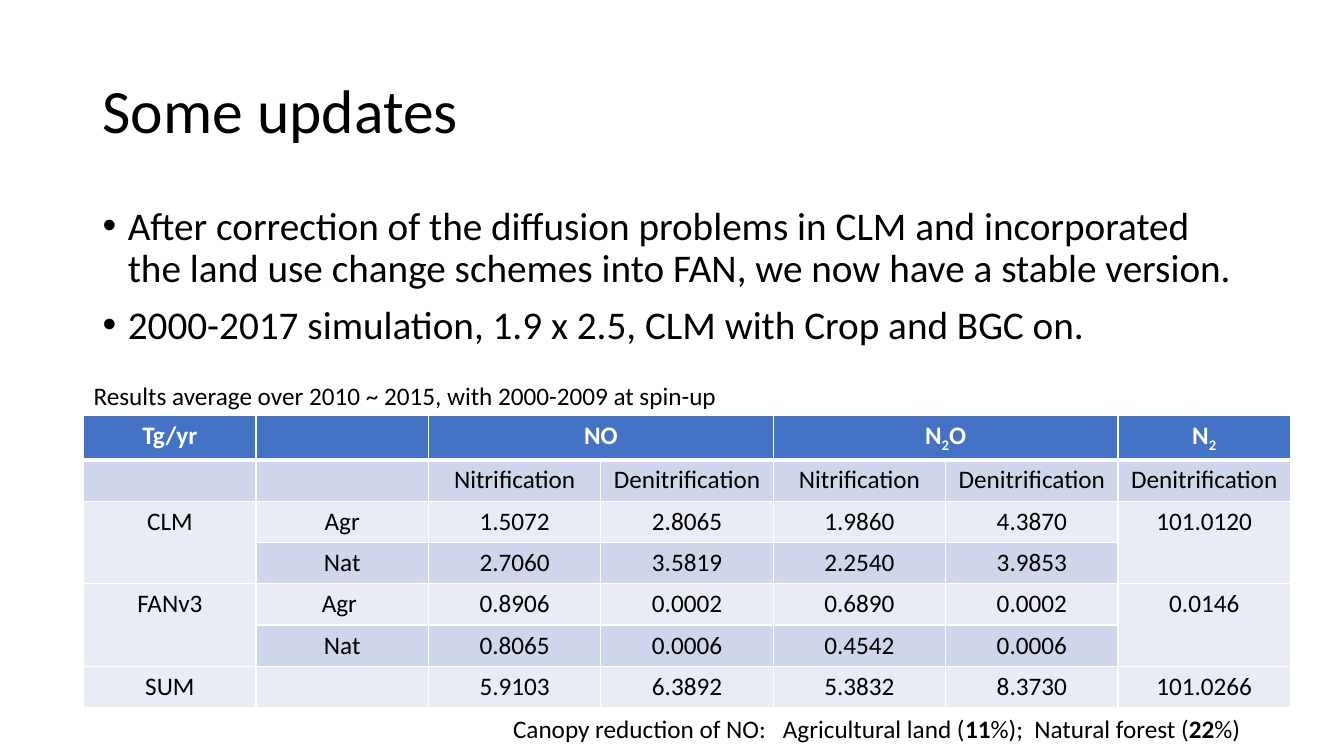
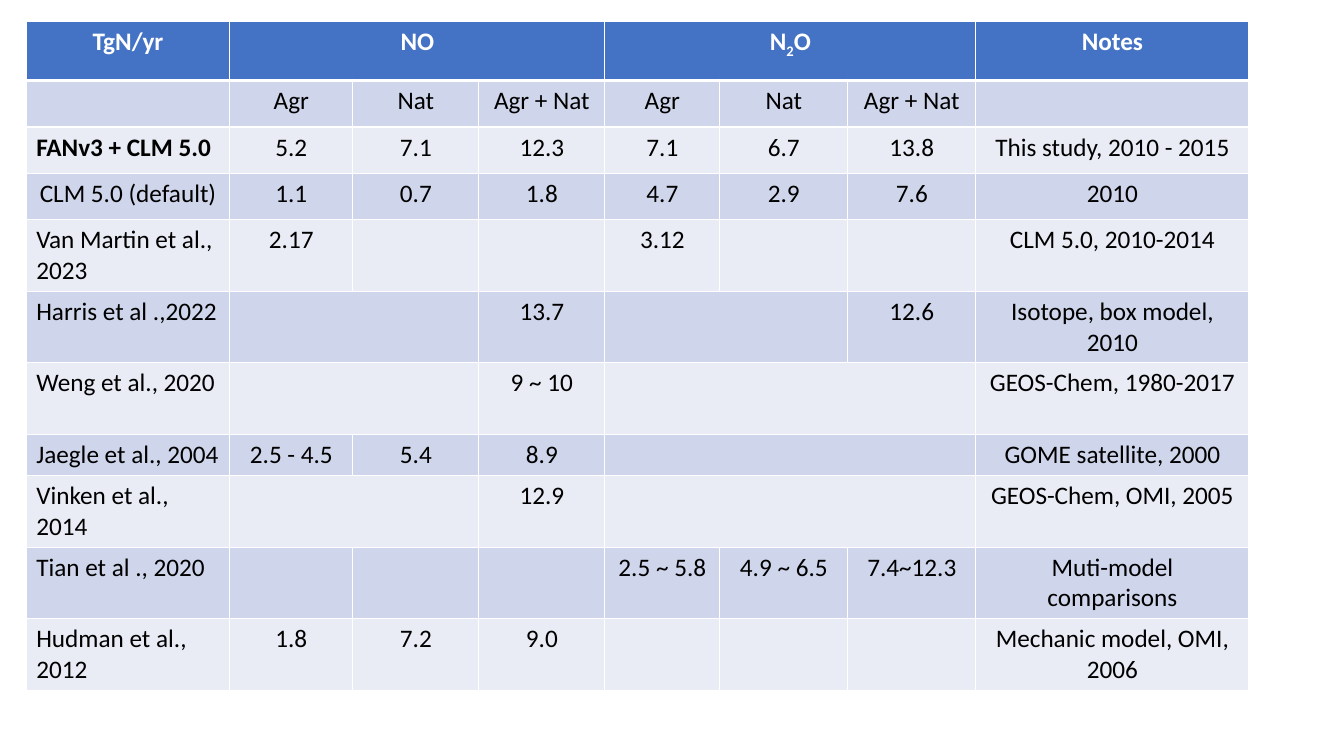
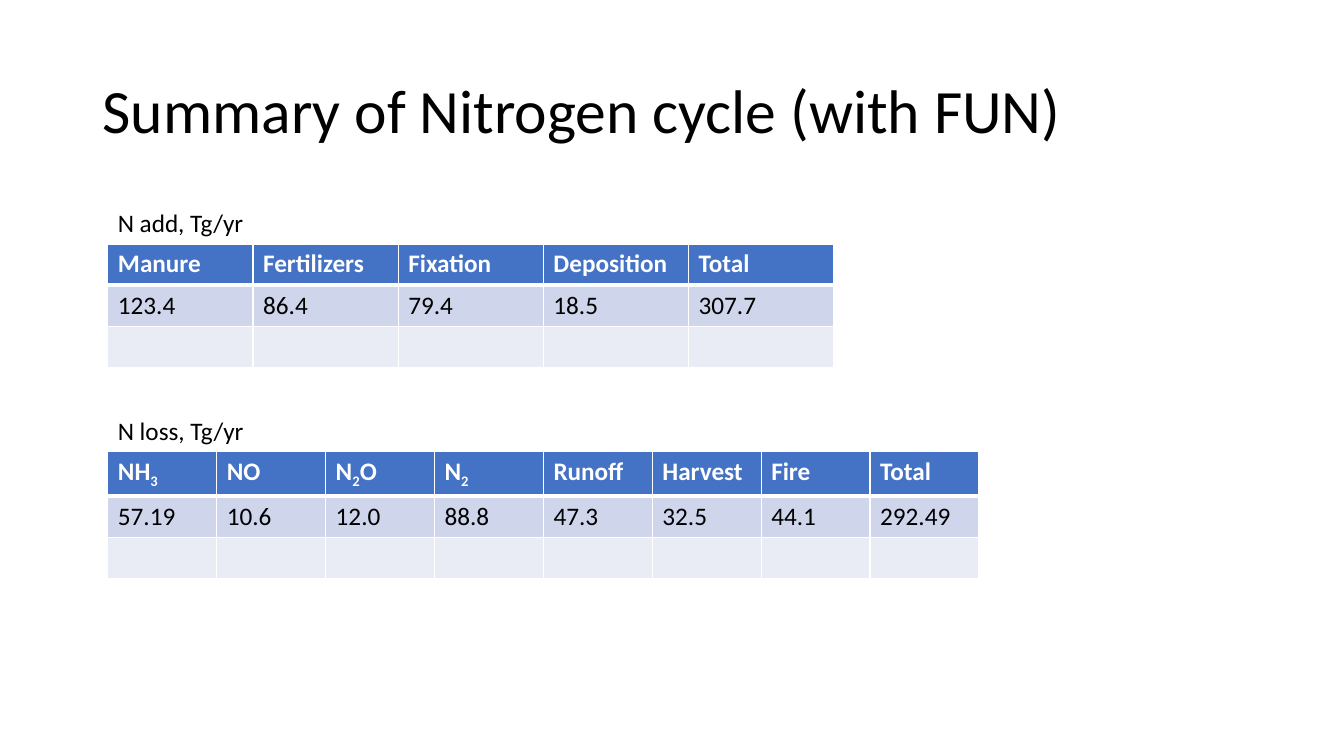
"""Build three slides of nitrogen budget tables."""
from lxml import etree
from pptx import Presentation
from pptx import util as u
from pptx.dml.color import RGBColor
from pptx.enum import text as t
from pptx.oxml import ns

FONT = "Calibri"
BLACK, WHITE, HEADER = "000000", "FFFFFF", "4472C4"
BANDS = ("E9EBF5", "CFD5EA")
BODY_SIZE, BULLET_SIZE, TITLE_SIZE = 18, 28, 44
ROW = 0.41
TITLE_BOX = (0.92, 0.4, 11.5, 1.45)
BULLET_BOX = (0.92, 2, 11.5, 4.76)

# Markup: * toggles bold, _ toggles subscript, a leading | aligns left,
# < joins the cell to its left neighbour, ^ joins it to the one above.
MODEL_ROWS = [
    ["Tg/yr", "", "NO", "<", "N_2_O", "<", "N_2_"],
    ["", "", "Nitrification", "Denitrification", "Nitrification", "Denitrification", "Denitrification"],
    ["CLM", "Agr", "1.5072", "2.8065", "1.9860", "4.3870", "101.0120"],
    ["^", "Nat", "2.7060", "3.5819", "2.2540", "3.9853", "^"],
    ["FANv3", "Agr ", "0.8906", "0.0002", "0.6890", "0.0002", "0.0146"],
    ["^", "Nat", "0.8065", "0.0006", "0.4542", "0.0006", "^"],
    ["SUM", "", "5.9103", "6.3892", "5.3832", "8.3730", "101.0266"],
]
STUDY_ROWS = [
    ["TgN/yr", "NO", "<", "<", "N_2_O", "<", "<", "Notes"],
    ["", "Agr", "Nat", "Agr + Nat", "Agr", "Nat", "Agr + Nat", ""],
    ["|*FANv3 + CLM 5.0*", "5.2", "7.1", "12.3", "7.1", "6.7", "13.8", "This study, 2010 - 2015"],
    ["CLM 5.0 (default)", "1.1", "0.7", "1.8", "4.7", "2.9", "7.6", "2010"],
    ["|Van Martin et al., 2023", "2.17", "", "", "3.12", "", "", "CLM 5.0, 2010-2014"],
    ["|Harris et al .,2022", "", "<", "13.7", "", "<", "12.6", "Isotope, box model, 2010"],
    ["|Weng et al., 2020", "", "<", "9 ~ 10", "", "<", "<", "GEOS-Chem, 1980-2017"],
    ["|Jaegle et al., 2004", "2.5 - 4.5", "5.4", "8.9", "", "<", "<", "GOME satellite, 2000"],
    ["|Vinken et al., 2014", "", "<", "12.9", "", "<", "<", "GEOS-Chem, OMI, 2005"],
    ["|Tian et al ., 2020", "", "", "", "2.5 ~ 5.8", "4.9 ~ 6.5", "7.4~12.3", "Muti-model comparisons"],
    ["|Hudman et al., 2012", "1.8", "7.2", "9.0", "", "", "", "Mechanic model, OMI, 2006"],
]
STUDY_COLUMNS = [2.02, 1.22, 1.25, 1.25, 1.14, 1.27, 1.27, 2.71]
STUDY_HEIGHTS = [0.59] + [0.46] * 3 + [0.71] * 3 + [ROW] + [0.71] * 3
CYCLE_TABLES = [
    ("N add, Tg/yr", 2.01, 1.44, [
        ["|Manure", "|Fertilizers", "|Fixation", "|Deposition", "|Total"],
        ["|123.4", "|86.4", "|79.4", "|18.5", "|307.7"],
        [""] * 5]),
    ("N loss, Tg/yr", 4.07, 1.08, [
        ["|NH_3_", "|NO", "|N_2_O", "|N_2_", "|Runoff", "|Harvest", "|Fire", "|Total"],
        ["|57.19", "|10.6", "|12.0", "|88.8", "|47.3", "|32.5", "|44.1", "|292.49"],
        [""] * 8]),
]
BULLETS = [
    "After correction of the diffusion problems in CLM and incorporated the land use change "
    "schemes into FAN, we now have a stable version.",
    "2000-2017 simulation, 1.9 x 2.5, CLM with Crop and BGC on.",
]
CANOPY = "Canopy reduction of NO:   Agricultural land (*11*%);  Natural forest (*22*%)"


def color(value):
    return RGBColor.from_string(value)


def add_runs(paragraph, marked, size=BODY_SIZE, ink=BLACK, bold=False):
    for i, piece in enumerate(marked.split("*")):
        for j, part in enumerate(piece.split("_")):
            if not part:
                continue
            run = paragraph.add_run()
            run.text = part
            run.font.name, run.font.size = FONT, u.Pt(size)
            run.font.bold = bold or i % 2 == 1
            run.font.color.rgb = color(ink)
            if j % 2:
                run.font._element.set("baseline", "-25000")


def add_text(slide, box, lines, size=BODY_SIZE, wrap=True, bullets=False, spacing=None,
             anchor=t.MSO_ANCHOR.TOP):
    frame = slide.shapes.add_textbox(*map(u.Inches, box)).text_frame
    frame.word_wrap, frame.vertical_anchor = wrap, anchor
    for index, line in enumerate(lines):
        paragraph = frame.add_paragraph() if index else frame.paragraphs[0]
        if spacing:
            paragraph.line_spacing = spacing
        if index:
            paragraph.space_before = u.Pt(10)
        if bullets:
            properties = paragraph._p.get_or_add_pPr()
            properties.set("marL", str(u.Inches(0.25)))
            properties.set("indent", str(-u.Inches(0.25)))
            etree.SubElement(properties, ns.qn("a:buFont")).set("typeface", "Arial")
            etree.SubElement(properties, ns.qn("a:buChar")).set("char", "•")
        add_runs(paragraph, line, size)


def add_title(slide, title):
    add_text(slide, TITLE_BOX, [title], TITLE_SIZE, spacing=0.9, anchor=t.MSO_ANCHOR.MIDDLE)


def style_cell(cell, row):
    properties = cell._tc.get_or_add_tcPr()
    thick = {0: "B", 1: "T"}.get(row)
    for side in "LRTB":
        width = u.Pt(3 if side == thick else 1)
        line = etree.SubElement(properties, ns.qn("a:ln" + side), w=str(width))
        fill = etree.SubElement(line, ns.qn("a:solidFill"))
        etree.SubElement(fill, ns.qn("a:srgbClr"), val=WHITE)
    cell.fill.solid()
    cell.fill.fore_color.rgb = color(BANDS[row % 2] if row else HEADER)


def run_length(marks, mark):
    length = 0
    while length < len(marks) and marks[length] == mark:
        length += 1
    return length


def add_grid(slide, left, top, rows, widths, heights):
    box = map(u.Inches, (left, top, sum(widths), sum(heights)))
    table = slide.shapes.add_table(len(rows), len(widths), *box).table
    for column, width in zip(table.columns, widths):
        column.width = u.Inches(width)
    for row, height in zip(table.rows, heights):
        row.height = u.Inches(height)
    for r, row in enumerate(rows):
        for c, marked in enumerate(row):
            cell = table.cell(r, c)
            style_cell(cell, r)
            if marked in ("<", "^"):
                continue
            across = run_length(row[c + 1:], "<")
            down = run_length([below[c] for below in rows[r + 1:]], "^")
            if across or down:
                cell.merge(table.cell(r + down, c + across))
            paragraph = cell.text_frame.paragraphs[0]
            if not marked.startswith("|"):
                paragraph.alignment = t.PP_ALIGN.CENTER
            add_runs(paragraph, marked.lstrip("|"), ink=BLACK if r else WHITE, bold=r == 0)


def main():
    presentation = Presentation()
    presentation.slide_width, presentation.slide_height = u.Inches(13.33), u.Inches(7.5)
    updates, studies, cycle = (
        presentation.slides.add_slide(presentation.slide_layouts[6]) for _ in range(3))

    add_title(updates, "Some updates")
    add_text(updates, BULLET_BOX, BULLETS, BULLET_SIZE, bullets=True, spacing=0.9)
    add_text(updates, (0.83, 3.72, 6.45, 0.4),
             ["Results average over 2010 ~ 2015, with 2000-2009 at spin-up"], wrap=False)
    add_grid(updates, 0.83, 4.12, MODEL_ROWS, [1.71] * 7, [ROW] * 7)
    add_text(updates, (4.99, 7.03, 7.8, 0.4), [CANOPY])

    add_grid(studies, 0.26, 0.21, STUDY_ROWS, STUDY_COLUMNS, STUDY_HEIGHTS)

    add_title(cycle, "Summary of Nitrogen cycle (with FUN)")
    for caption, top, width, rows in CYCLE_TABLES:
        add_grid(cycle, 1.07, top + ROW, rows, [width] * len(rows[0]), [ROW] * len(rows))
        add_text(cycle, (1.07, top, 1.46, 0.4), [caption], wrap=False)

    presentation.save("out.pptx")


if __name__ == "__main__":
    main()
